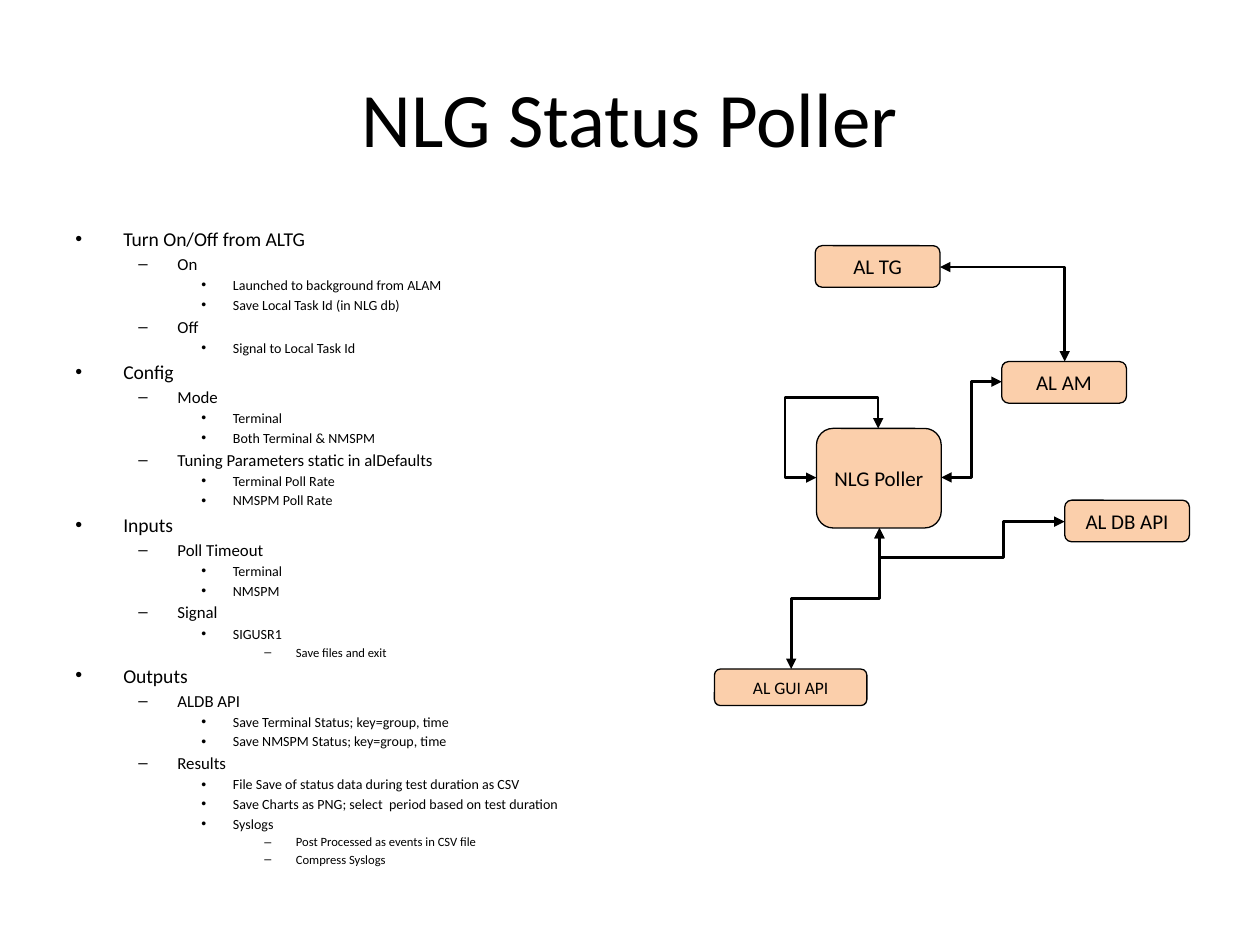
from lxml.etree import SubElement
from pptx import Presentation
from pptx.dml.color import RGBColor
from pptx.enum.shapes import MSO_CONNECTOR, MSO_SHAPE
from pptx.enum.text import MSO_ANCHOR, PP_ALIGN
from pptx.oxml.ns import qn
from pptx.util import Inches, Pt

FONT, BLACK, PEACH = "Calibri", "000000", "FAC090"
TOP, LEFT, BOTTOM, RIGHT = range(4)

# level: (size, text indent, hanging indent, bullet)
LEVELS = [
    (11.2, 0.38, 0.38, "•"),
    (9.6, 0.81, 0.31, "–"),
    (8, 1.25, 0.25, "•"),
    (7.2, 1.75, 0.25, "–"),
]

OUTLINE = [
    (0, "Turn On/Off from ALTG"),
    (1, "On"),
    (2, "Launched to background from ALAM"),
    (2, "Save Local Task Id (in NLG db)"),
    (1, "Off"),
    (2, "Signal to Local Task Id"),
    (0, "Config"),
    (1, "Mode"),
    (2, "Terminal"),
    (2, "Both Terminal & NMSPM"),
    (1, "Tuning Parameters static in alDefaults"),
    (2, "Terminal Poll Rate"),
    (2, "NMSPM Poll Rate"),
    (0, "Inputs"),
    (1, "Poll Timeout"),
    (2, "Terminal"),
    (2, "NMSPM"),
    (1, "Signal"),
    (2, "SIGUSR1"),
    (3, "Save files and exit"),
    (0, "Outputs"),
    (1, "ALDB API"),
    (2, "Save Terminal Status; key=group, time"),
    (2, "Save NMSPM Status; key=group, time"),
    (1, "Results"),
    (2, "File Save of status data during test duration as CSV"),
    (2, "Save Charts as PNG; select  period based on test duration"),
    (2, "Syslogs"),
    (3, "Post Processed as events in CSV file"),
    (3, "Compress Syslogs"),
]

BOXES = [
    ("AL GUI API", 5.67, 5.31, 1.21, 0.29, 10),
    ("AL DB API", 8.45, 3.97, 0.99, 0.33, 12),
    ("NLG Poller", 6.48, 3.4, 0.99, 0.79, 12),
    ("AL AM", 7.95, 2.87, 0.99, 0.33, 12),
    ("AL TG", 6.47, 1.95, 0.99, 0.33, 12),
]

# start, side, end, side, frame before rotation, rotation, flips, bends
LINKS = [
    ("NLG Poller", BOTTOM, "AL DB API", LEFT,
     (7.69, 3.43, 0.05, 1.47), 90, "HV", (-4.71, 0.67)),
    ("AL GUI API", TOP, "NLG Poller", BOTTOM,
     (6.07, 4.4, 1.12, 0.7), 90, "HV", (0.5,)),
    ("NLG Poller", TOP, "NLG Poller", LEFT,
     (6.53, 3.35, 0.39, 0.49), 270, "HV", (-0.63, 1.51)),
    ("NLG Poller", RIGHT, "AL AM", LEFT,
     (7.47, 3.03, 0.48, 0.76), 0, "V", (0.5,)),
    ("AL AM", TOP, "AL TG", RIGHT,
     (7.58, 2, 0.75, 0.99), 270, "V", ()),
]


def color(value):
    return RGBColor.from_string(value)


def add_run(p, text, size):
    r = p.add_run()
    r.text = text
    r.font.name = FONT
    r.font.size = Pt(size)
    r.font.color.rgb = color(BLACK)


def add_centered(shape, text, size):
    tf = shape.text_frame
    tf.word_wrap = True
    tf.vertical_anchor = MSO_ANCHOR.MIDDLE
    p = tf.paragraphs[0]
    p.alignment = PP_ALIGN.CENTER
    add_run(p, text, size)


def add_title(s, text):
    tb = s.shapes.add_textbox(Inches(0.5), Inches(0.3), Inches(9), Inches(1.25))
    add_centered(tb, text, 44)


def add_outline(s, items):
    tb = s.shapes.add_textbox(Inches(0.5), Inches(1.75), Inches(4.42), Inches(4.95))
    tf = tb.text_frame
    tf.word_wrap = True
    for i, (level, text) in enumerate(items):
        p = tf.add_paragraph() if i else tf.paragraphs[0]
        size, indent, hanging, bullet = LEVELS[level]
        p.level = level
        p.space_before = Pt(0.2 * size)
        pPr = p._p.get_or_add_pPr()
        pPr.set("marL", str(Inches(indent)))
        pPr.set("indent", str(-Inches(hanging)))
        SubElement(pPr, qn("a:buFont"), typeface="Arial")
        SubElement(pPr, qn("a:buChar"), char=bullet)
        add_run(p, text, size)


def add_box(s, text, x, y, w, h, size):
    sp = s.shapes.add_shape(MSO_SHAPE.ROUNDED_RECTANGLE,
                            Inches(x), Inches(y), Inches(w), Inches(h))
    sp.shadow.inherit = False
    sp.fill.solid()
    sp.fill.fore_color.rgb = color(PEACH)
    clr = sp._element.spPr.find(qn("a:solidFill"))[0]
    SubElement(clr, qn("a:alpha"), val="75000")
    sp.line.color.rgb = color(BLACK)
    sp.line.width = Pt(0.75)
    add_centered(sp, text, size)
    return sp


def add_link(s, start, start_side, end, end_side, frame, rotation, flips, bends):
    """Join two boxes with a bent, double-headed arrow."""
    c = s.shapes.add_connector(MSO_CONNECTOR.ELBOW, 0, 0, 0, 0)
    c.begin_connect(start, start_side)
    c.end_connect(end, end_side)
    c.left, c.top, c.width, c.height = map(Inches, frame)
    spPr = c._element.spPr
    xfrm = spPr.find(qn("a:xfrm"))
    xfrm.set("rot", str(rotation * 60000))
    for flip in "HV":
        xfrm.set("flip" + flip, str(int(flip in flips)))
    geom = spPr.find(qn("a:prstGeom"))
    geom.set("prst", f"bentConnector{len(bends) + 2}")
    for i, bend in enumerate(bends, 1):
        SubElement(geom.find(qn("a:avLst")), qn("a:gd"),
                   name=f"adj{i}", fmla=f"val {round(bend * 100000)}")
    c.line.color.rgb = color(BLACK)
    c.line.width = Pt(1.5)
    ln = spPr.find(qn("a:ln"))
    for tag in ("a:headEnd", "a:tailEnd"):
        SubElement(ln, qn(tag), type="triangle")
    SubElement(spPr, qn("a:effectLst"))


def main():
    prs = Presentation()
    prs.slide_width, prs.slide_height = Inches(10), Inches(7.5)
    s = prs.slides.add_slide(prs.slide_layouts[6])
    add_title(s, "NLG Status Poller")
    add_outline(s, OUTLINE)
    boxes = {box[0]: add_box(s, *box) for box in BOXES}
    for start, start_side, end, end_side, *route in LINKS:
        add_link(s, boxes[start], start_side, boxes[end], end_side, *route)
    prs.save("out.pptx")


if __name__ == "__main__":
    main()
